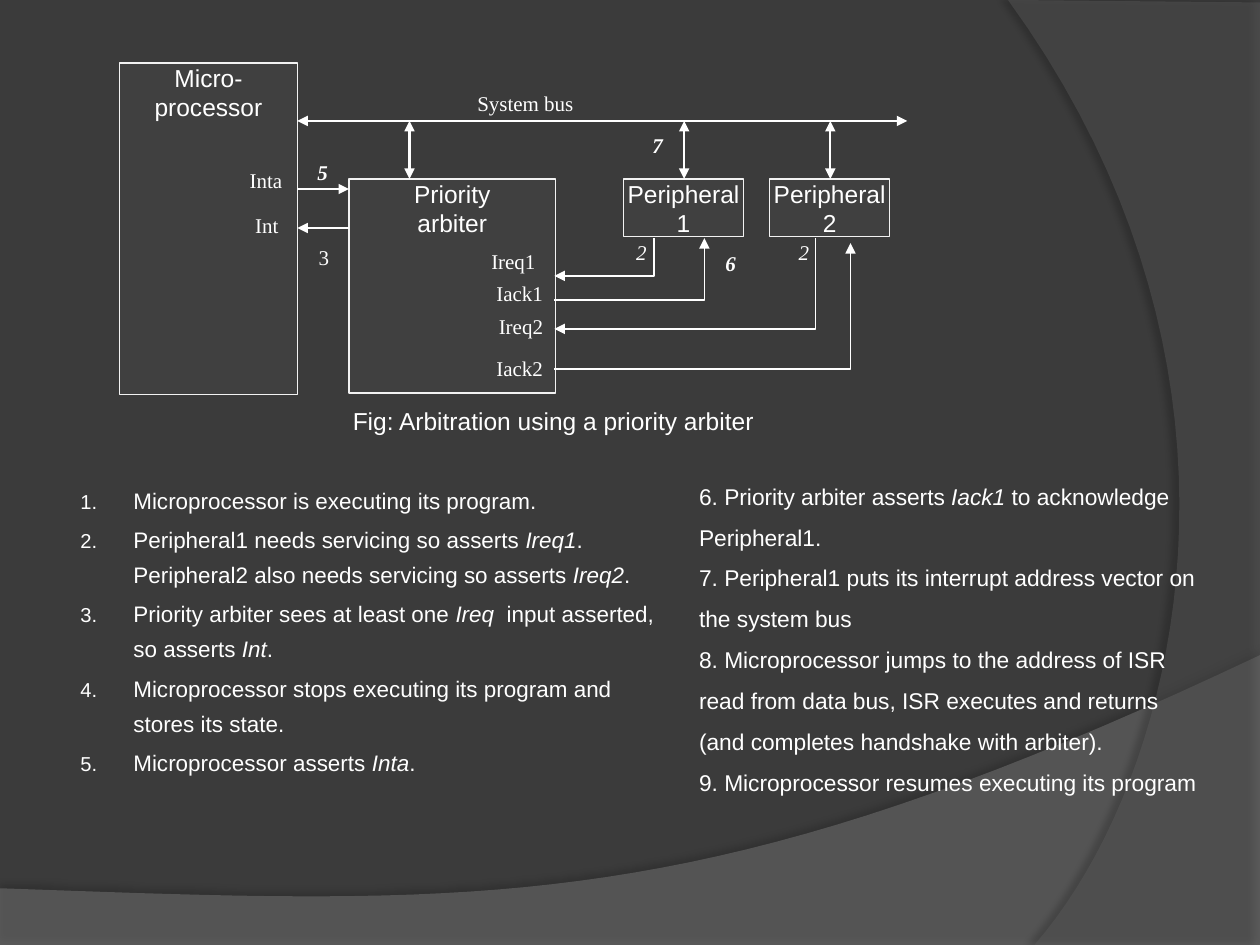
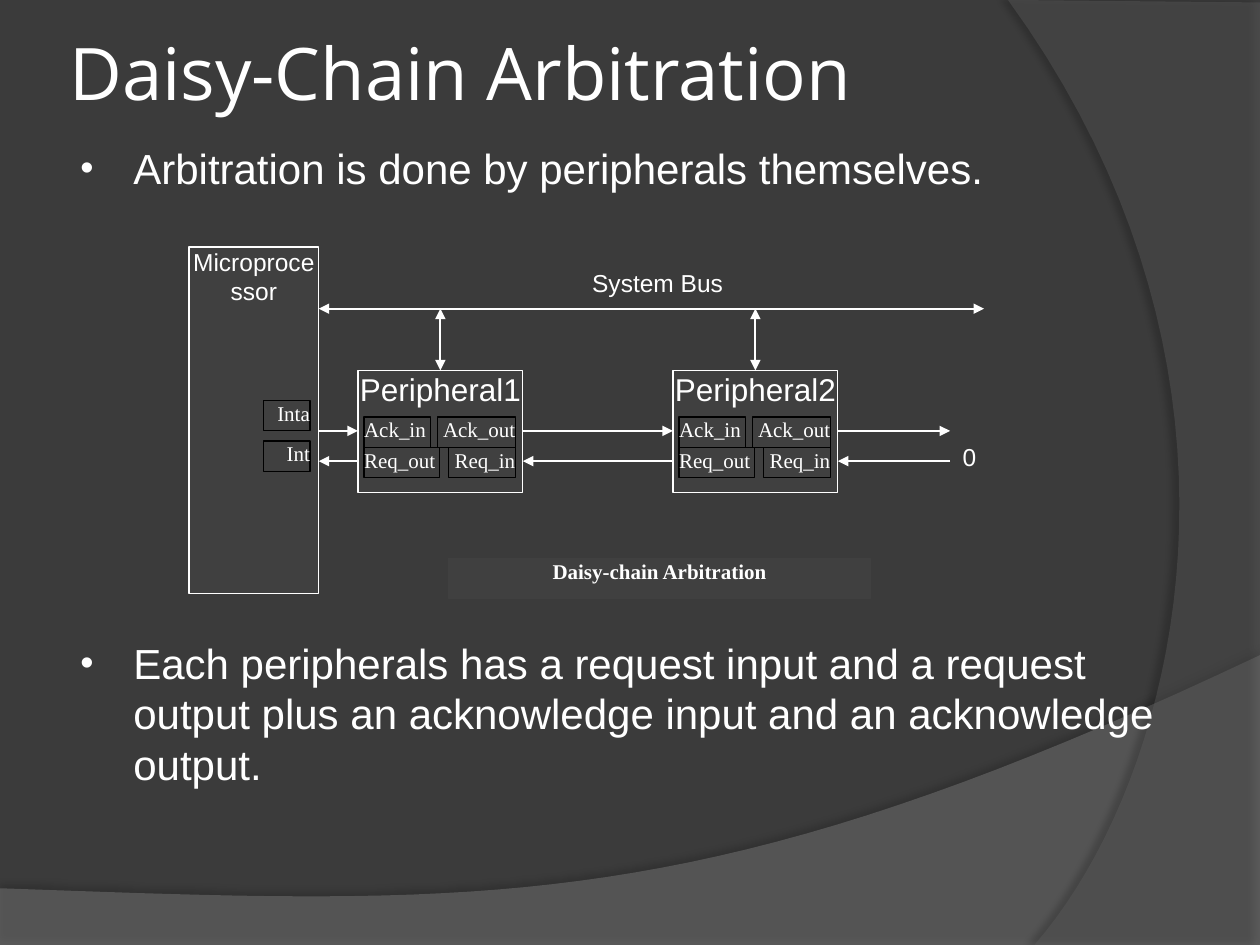
from dataclasses import dataclass

from lxml.etree import SubElement as Sub
from pptx import Presentation
from pptx.dml.color import RGBColor as Rgb
from pptx.enum.shapes import MSO_CONNECTOR as Conn, MSO_SHAPE as Kind
from pptx.enum.text import MSO_ANCHOR as Anchor, PP_ALIGN as Align
from pptx.oxml.ns import qn
from pptx.util import Inches, Pt


@dataclass(frozen=True)
class Theme:
    """Colours, fonts and type sizes of the deck."""
    back: str = "3B3B3B"
    panel: str = "404040"
    edge: str = "F2F2F2"
    ink: str = "FFFFFF"
    dark: str = "000000"
    head: str = "Open Sans"
    sans: str = "Arial"
    serif: str = "Times New Roman"
    title: float = 41.4
    body: float = 24
    chip: float = 18
    block: float = 14
    note: float = 13
    step: float = 12.8
    label: float = 12
    thin: float = 0.75
    thick: float = 1.25


T = Theme()
SIDES = {"l": Align.LEFT, "c": Align.CENTER, "r": Align.RIGHT}

# Bands: outline as points, a tuple of three points being a curve
BANDS = [
    dict(color="7F7F7F", alpha=45, dim=35, dist=3.5, turn=270,
         way=[(0, 7.05), (0, 7.5), (10, 7.5), (10, 5.2),
              ((5.59, 7.29), (3.91, 7.19), (0, 7.05))]),
    dict(color="5E5E5E", alpha=40, dim=45, dist=4, turn=180,
         way=[(10, 0.02), (10, 7.5), (8.21, 7.5),
              ((9.35, 6.19), (10.18, 3), (8, 0))]),
]

# Slide 1: priority arbiter (asterisks enclose italics)
STEPS = [
    "Microprocessor is executing its program.",
    "Peripheral1 needs servicing so asserts *Ireq1*. "
    "Peripheral2 also needs servicing so asserts *Ireq2*.",
    "Priority arbiter sees at least one *Ireq * input asserted, "
    "so asserts *Int*.",
    "Microprocessor stops executing its program and stores its state.",
    "Microprocessor asserts *Inta*.",
]
NOTES = [
    "6. Priority arbiter asserts *Iack1* to acknowledge Peripheral1.",
    "7. Peripheral1 puts its interrupt address vector on the system bus",
    "8. Microprocessor jumps to the address of ISR read from data bus, "
    "ISR executes and returns (and completes handshake with arbiter).",
    "9. Microprocessor resumes executing its program",
]
BLOCKS = [
    ("Micro-\nprocessor", (0.95, 0.5, 1.41, 2.63)),
    ("Priority\narbiter", (2.77, 1.42, 1.64, 1.7)),
    ("Peripheral1", (4.95, 1.42, 0.95, 0.46)),
    ("Peripheral2", (6.11, 1.42, 0.95, 0.46)),
]
DROPS = [3.25, 5.43, 6.59]
WIRES = [
    [(2.77, 1.81), (2.36, 1.81)],
    [(2.36, 1.5), (2.77, 1.5)],
    [(5.19, 1.89), (5.19, 2.19), (4.4, 2.19)],
    [(4.4, 2.38), (5.59, 2.38), (5.59, 1.89)],
    [(6.47, 1.89), (6.47, 2.61), (4.4, 2.61)],
    [(4.4, 2.93), (6.75, 2.93), (6.75, 1.93)],
]
PINS = [  # text, right edge, top
    ("Inta", 2.24, 1.33), ("Int", 2.21, 1.69), ("Ireq1", 4.25, 1.97),
    ("Iack1", 4.31, 2.23), ("Ireq2", 4.31, 2.49), ("Iack2", 4.31, 2.82),
]
MARKS = [  # text, left, top, bold, italic
    ("5", 2.49, 1.27, True, True), ("7", 5.15, 1.05, True, True),
    ("6", 5.73, 1.99, True, True), ("2", 5.02, 1.9, False, True),
    ("2", 6.31, 1.9, False, True), ("3", 2.5, 1.94, False, False),
]

# Slide 2: daisy chain
POINTS = [
    "Arbitration is done by peripherals themselves.",
    "Each peripherals has a request input and a request output plus an "
    "acknowledge input and an acknowledge output.",
]
CHIPS = ["Peripheral1", "Peripheral2"]
PORTS = [  # text, row, width, side
    ("Ack_in", 0, 0.53, "l"), ("Ack_out", 0, 0.62, "r"),
    ("Req_out", 1, 0.6, "l"), ("Req_in", 1, 0.53, "r"),
]


def place(at):
    """Turn a tuple of inches into lengths."""
    return [Inches(v) for v in at]


def write(frame, text, size, font=T.sans, side="l", bold=False, slant=False):
    """Write one paragraph a line; asterisks enclose italics."""
    frame.word_wrap = True
    for row, line in enumerate(text.split("\n")):
        para = frame.add_paragraph() if row else frame.paragraphs[0]
        para.alignment = SIDES[side]
        face = para.font
        face.name, face.size, face.bold = font, Pt(size), bold
        face.color.rgb = Rgb.from_string(T.ink)
        for nth, part in enumerate(line.split("*")):
            if part:
                run = para.add_run()
                run.text = part
                run.font.italic = slant or nth % 2 == 1


def trim(frame):
    """Remove the insets of a text frame."""
    frame.margin_left = frame.margin_right = 0
    frame.margin_top = frame.margin_bottom = 0


def label(slide, text, at, size=T.label, font=T.serif, **look):
    """Add a small text without insets."""
    frame = slide.shapes.add_textbox(*place(at)).text_frame
    trim(frame)
    write(frame, text, size, font, **look)


def box(slide, text, at, size=T.block, edge=T.ink, font=T.sans, side="c",
        bold=False):
    """Add a panel with its text at the top."""
    shape = slide.shapes.add_shape(Kind.RECTANGLE, *place(at))
    shape.shadow.inherit = False
    shape.fill.solid()
    shape.fill.fore_color.rgb = Rgb.from_string(T.panel)
    shape.line.color.rgb = Rgb.from_string(edge)
    shape.line.width = Pt(T.thin)
    trim(shape.text_frame)
    shape.text_frame.vertical_anchor = Anchor.TOP
    write(shape.text_frame, text, size, font, side, bold)


def outline(slide, pts, close):
    """Build a freeform through points."""
    first, *rest = [place(p) for p in pts]
    build = slide.shapes.build_freeform(*first)
    build.add_line_segments(rest, close=close)
    shape = build.convert_to_shape()
    shape.shadow.inherit = False
    return shape


def wire(slide, pts, width=T.thin, both=False):
    """Draw an arrow through points, with a head at the end or both ends."""
    if len(pts) == 2:
        shape = slide.shapes.add_connector(
            Conn.STRAIGHT, *place(pts[0] + pts[1]))
    else:
        shape = outline(slide, pts, False)
        shape.fill.background()
    shape.line.color.rgb = Rgb.from_string(T.ink)
    shape.line.width = Pt(width)
    props = shape._element.spPr
    line = props.find(qn("a:ln"))
    for end in ("a:headEnd", "a:tailEnd")[0 if both else 1:]:
        Sub(line, qn(end), type="triangle")
    if len(pts) == 2:
        Sub(props, qn("a:effectLst"))


def bus(slide, left, right, y, drops, foot):
    """Draw the system bus and its drops to the blocks below."""
    wire(slide, [(left, y), (right, y)], T.thick, True)
    for x in drops:
        wire(slide, [(x, y), (x, foot)], T.thick, True)


def curve(start, ctrl, count=40):
    """Sample a cubic curve after its start point."""
    pts = []
    for t in (n / count for n in range(1, count + 1)):
        u = 1 - t
        mix = (u ** 3, 3 * u * u * t, 3 * u * t * t, t ** 3)
        pts.append(tuple(sum(m * p[axis] for m, p in
                             zip(mix, (start, *ctrl))) for axis in (0, 1)))
    return pts


def band(slide, master, nth, color, alpha, dim, dist, turn, way):
    """Draw a clear band with a soft shadow and move it to the master."""
    pts = []
    for item in way:
        pts += curve(pts[-1], item) if len(item) == 3 else [item]
    shape = outline(slide, pts, True)
    shape.fill.solid()
    shape.fill.fore_color.rgb = Rgb.from_string(color)
    shape.line.fill.background()
    node = shape._element
    tint = node.spPr.find(qn("a:solidFill"))[0]
    Sub(tint, qn("a:alpha"), val=str(alpha * 1000))
    glow = Sub(node.spPr.find(qn("a:effectLst")), qn("a:outerShdw"),
               blurRad=str(Pt(4)), dist=str(Pt(dist)),
               dir=str(turn * 60000), rotWithShape="0")
    shade = Sub(glow, qn("a:srgbClr"), val=T.dark)
    Sub(shade, qn("a:alpha"), val=str(dim * 1000))
    node.nvSpPr.cNvPr.set("id", str(20 + nth))
    master.shapes._spTree.insert(2 + nth, node)


def items(slide, rows, at, size, mark, value, gaps, lead=1.0):
    """Add a list with hanging bullets or numbers."""
    frame = slide.shapes.add_textbox(*place(at)).text_frame
    write(frame, "\n".join(rows), size)
    for para, gap in zip(frame.paragraphs, gaps):
        para.line_spacing, para.space_before = lead, Pt(gap)
        props = para._p.get_or_add_pPr()
        props.set("marL", str(Inches(0.46)))
        props.set("indent", str(Inches(-0.42)))
        tint = Sub(props, qn("a:buClr"))
        Sub(tint, qn("a:srgbClr"), val=T.ink)
        Sub(props, qn("a:buSzPct"), val="90000")
        Sub(props, qn("a:buFont"), typeface=T.sans)
        Sub(props, qn(mark), **value)


def arbiter(slide):
    """Fill the slide on the priority arbiter."""
    for text, at in BLOCKS:
        box(slide, text, at, edge=T.edge)
    bus(slide, 2.36, 7.2, 0.96, DROPS, 1.42)
    for pts in WIRES:
        wire(slide, pts)
    label(slide, "System bus", (3.42, 0.72, 1.5, 0.23), side="c")
    for text, right, y in PINS:
        label(slide, text, (right - 0.55, y, 0.55, 0.23), side="r")
    for text, x, y, bold, slant in MARKS:
        label(slide, text, (x, y, 0.14, 0.23), side="c", bold=bold,
              slant=slant)
    label(slide, "Fig: Arbitration using a priority arbiter",
          (2.8, 3.22, 3.3, 0.24), T.block, T.sans)
    items(slide, STEPS, (0.5, 3.75, 4.79, 2.92), T.step, "a:buAutoNum",
          {"type": "arabicPeriod"}, [2.56] * len(STEPS), 1.3)
    frame = slide.shapes.add_textbox(
        *place((5.45, 3.67, 4.16, 3.01))).text_frame
    write(frame, "\n".join(NOTES), T.note)
    for para in frame.paragraphs:
        para.line_spacing = 1.5


def daisy(slide):
    """Fill the slide on the daisy chain."""
    title = slide.shapes.title
    title.left, title.top, title.width, title.height = place(
        (0.5, 0.3, 8.17, 0.53))
    frame = title.text_frame
    frame.margin_left = frame.margin_right = Inches(0.05)
    frame.margin_top = frame.margin_bottom = Inches(0.05)
    frame.vertical_anchor = Anchor.MIDDLE
    write(frame, "Daisy-Chain Arbitration", T.title, T.head)
    items(slide, POINTS, (0.5, 1.08, 8.92, 6.08), T.body, "a:buChar",
          {"char": "•"}, [4.8, 254])

    left, top, wide, pitch = 2.84, 2.94, 1.31, 2.5
    ack, req = 3.42, 3.66
    starts = [left + pitch * n for n in range(len(CHIPS))]
    box(slide, "Microprocessor", (1.5, 1.96, 1.03, 2.75))
    for text, y in (("Inta", 3.18), ("Int", 3.5)):
        box(slide, text, (2.09, y, 0.37, 0.24), T.label, T.dark, T.serif, "r")
    for name, x in zip(CHIPS, starts):
        box(slide, name, (x, top, wide, 0.97), T.chip)
        for text, row, w, side in PORTS:
            shift = 0.05 if side == "l" else 1.25 - w
            box(slide, text, (x + shift, 3.31 + 0.24 * row, w, 0.24),
                T.label, T.dark, T.serif, side)
    bus(slide, 2.53, 7.81, 2.45, [x + wide / 2 for x in starts], top)
    outs = [2.53] + [x + wide for x in starts]
    for a, b in zip(outs, starts + [7.54]):
        wire(slide, [(a, ack), (b, ack)])
        wire(slide, [(b, req), (a, req)])
    box(slide, "Daisy-chain Arbitration", (3.56, 4.43, 3.35, 0.32), T.label,
        T.panel, T.serif, bold=True)
    label(slide, "System Bus", (4.7, 2.13, 1.1, 0.24), T.block, T.sans)
    label(slide, "0", (7.64, 3.51, 0.15, 0.24), T.block, T.sans)


def main():
    """Build the deck and save it."""
    deck = Presentation()
    deck.slide_width, deck.slide_height = Inches(10), Inches(7.5)
    master = deck.slide_master
    master.background.fill.solid()
    master.background.fill.fore_color.rgb = Rgb.from_string(T.back)
    plain, titled = deck.slide_layouts[6], deck.slide_layouts[5]
    first = deck.slides.add_slide(plain)
    for nth, look in enumerate(BANDS):
        band(first, master, nth, **look)
    arbiter(first)
    daisy(deck.slides.add_slide(titled))
    deck.save("out.pptx")


main()
